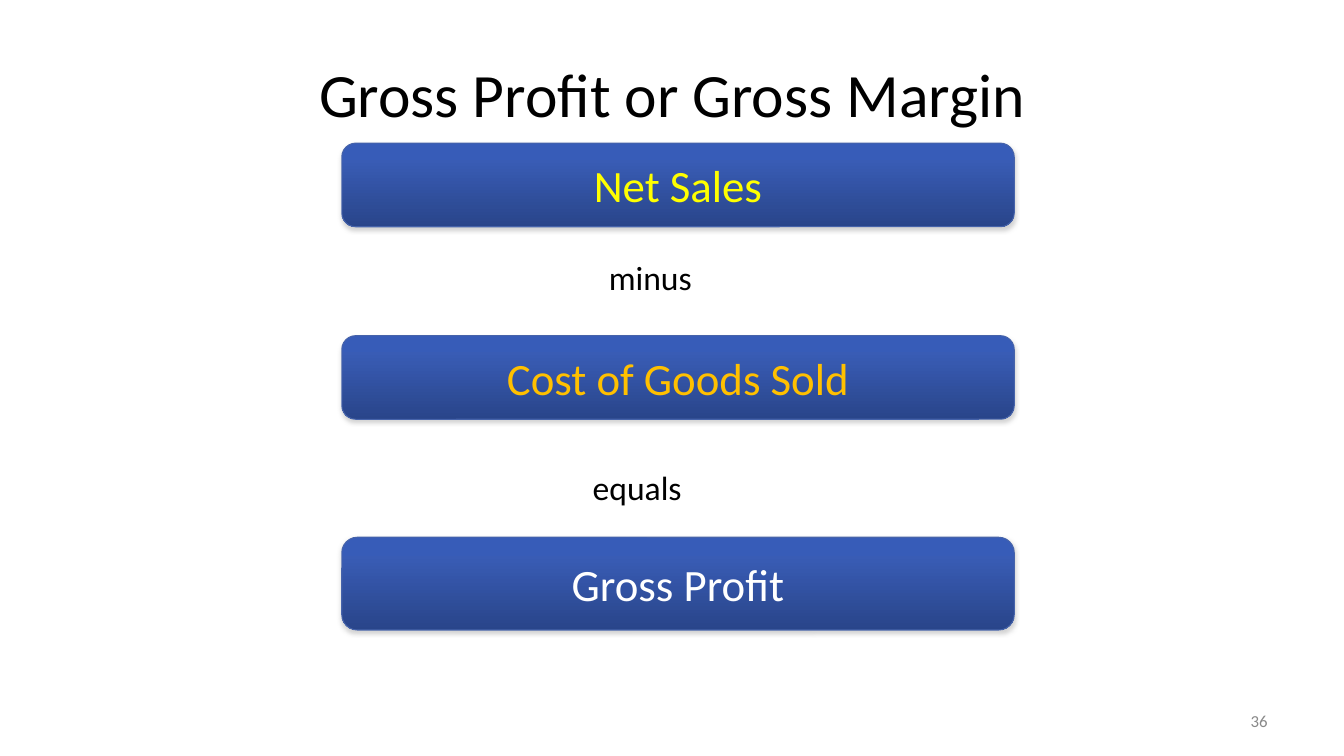
from pptx import Presentation
from pptx.dml.color import RGBColor
from pptx.enum.shapes import MSO_SHAPE
from pptx.enum.text import MSO_ANCHOR, MSO_AUTO_SIZE, PP_ALIGN
from pptx.oxml import parse_xml
from pptx.oxml.ns import nsdecls
from pptx.util import Inches, Pt

BLACK = RGBColor(0x00, 0x00, 0x00)
WHITE = RGBColor(0xFF, 0xFF, 0xFF)
YELLOW = RGBColor(0xFF, 0xFF, 0x00)
GOLD = RGBColor(0xFF, 0xC0, 0x00)
GRAY = RGBColor(0x89, 0x89, 0x89)
OUTLINE = RGBColor(0x46, 0x63, 0xAA)
SHADOW = RGBColor(0x80, 0x80, 0x80)
GRADIENT = [
    (0, RGBColor(0x37, 0x5C, 0xB8)),
    (20, RGBColor(0x39, 0x5C, 0xB5)),
    (100, RGBColor(0x29, 0x45, 0x8A)),
]


def write(frame, text, size, color, align=PP_ALIGN.LEFT):
    paragraph = frame.paragraphs[0]
    paragraph.alignment = align
    run = paragraph.add_run()
    run.text = text
    run.font.name = "Calibri"
    run.font.size = Pt(size)
    run.font.color.rgb = color


def add_depth(bar):
    """Give a bar its three-stop vertical gradient and soft shadow below."""
    bar.fill.gradient()
    properties = bar.fill._xPr
    stops = "".join(
        f'<a:gs pos="{percent * 1000}"><a:srgbClr val="{color}"/></a:gs>'
        for percent, color in GRADIENT
    )
    gradient = parse_xml(
        f'<a:gradFill {nsdecls("a")} rotWithShape="1"><a:gsLst>{stops}</a:gsLst>'
        '<a:lin ang="5400000" scaled="0"/></a:gradFill>'
    )
    properties.replace(properties.gradFill, gradient)
    bar.shadow.inherit = False
    properties.effectLst.append(parse_xml(
        f'<a:outerShdw {nsdecls("a")} blurRad="{Pt(3.1)}" dist="{Pt(1.8)}" '
        'dir="5400000" rotWithShape="0">'
        f'<a:srgbClr val="{SHADOW}"><a:alpha val="35000"/></a:srgbClr></a:outerShdw>'
    ))


prs = Presentation()
prs.slide_width = Inches(13.33)
prs.slide_height = Inches(7.5)
slide = prs.slides.add_slide(prs.slide_layouts[5])

title = slide.shapes.title
title.left, title.top = Inches(0.67), Inches(0.3)
title.width, title.height = Inches(12), Inches(1.25)
title.text_frame.vertical_anchor = MSO_ANCHOR.MIDDLE
write(title.text_frame, "Gross Profit or Gross Margin", 44, BLACK, PP_ALIGN.CENTER)

amounts = [
    ("Net Sales", 1.42, 0.83, YELLOW),
    ("Cost of Goods Sold", 3.33, 0.83, GOLD),
    ("Gross Profit", 5.33, 0.92, WHITE),
]
for label, top, height, color in amounts:
    bar = slide.shapes.add_shape(
        MSO_SHAPE.ROUNDED_RECTANGLE, Inches(3.39), Inches(top), Inches(6.67), Inches(height)
    )
    add_depth(bar)
    bar.line.color.rgb = OUTLINE
    bar.line.width = Pt(0.75)
    bar.text_frame.vertical_anchor = MSO_ANCHOR.MIDDLE
    write(bar.text_frame, label, 32, color, PP_ALIGN.CENTER)

operators = [("minus", 5.94, 2.5, 1.56), ("equals", 5.78, 4.58, 1.89)]
for word, left, top, width in operators:
    operator = slide.shapes.add_textbox(Inches(left), Inches(top), Inches(width), Inches(0.51))
    operator.text_frame.word_wrap = True
    operator.text_frame.auto_size = MSO_AUTO_SIZE.SHAPE_TO_FIT_TEXT
    write(operator.text_frame, word, 24, BLACK)

page_number = slide.shapes.add_textbox(Inches(9.56), Inches(6.95), Inches(3.11), Inches(0.4))
page_number.text_frame.word_wrap = True
page_number.text_frame.vertical_anchor = MSO_ANCHOR.MIDDLE
write(page_number.text_frame, "36", 12, GRAY, PP_ALIGN.RIGHT)

prs.save("out.pptx")
